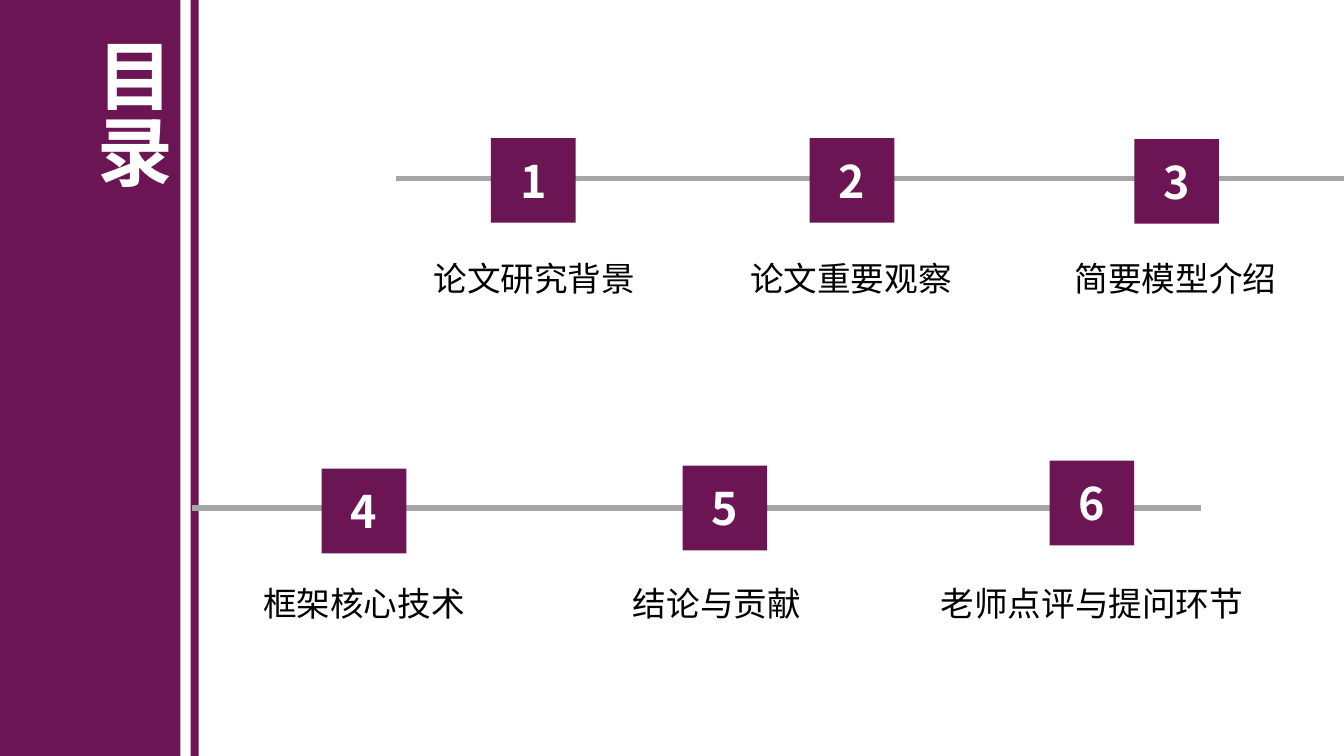
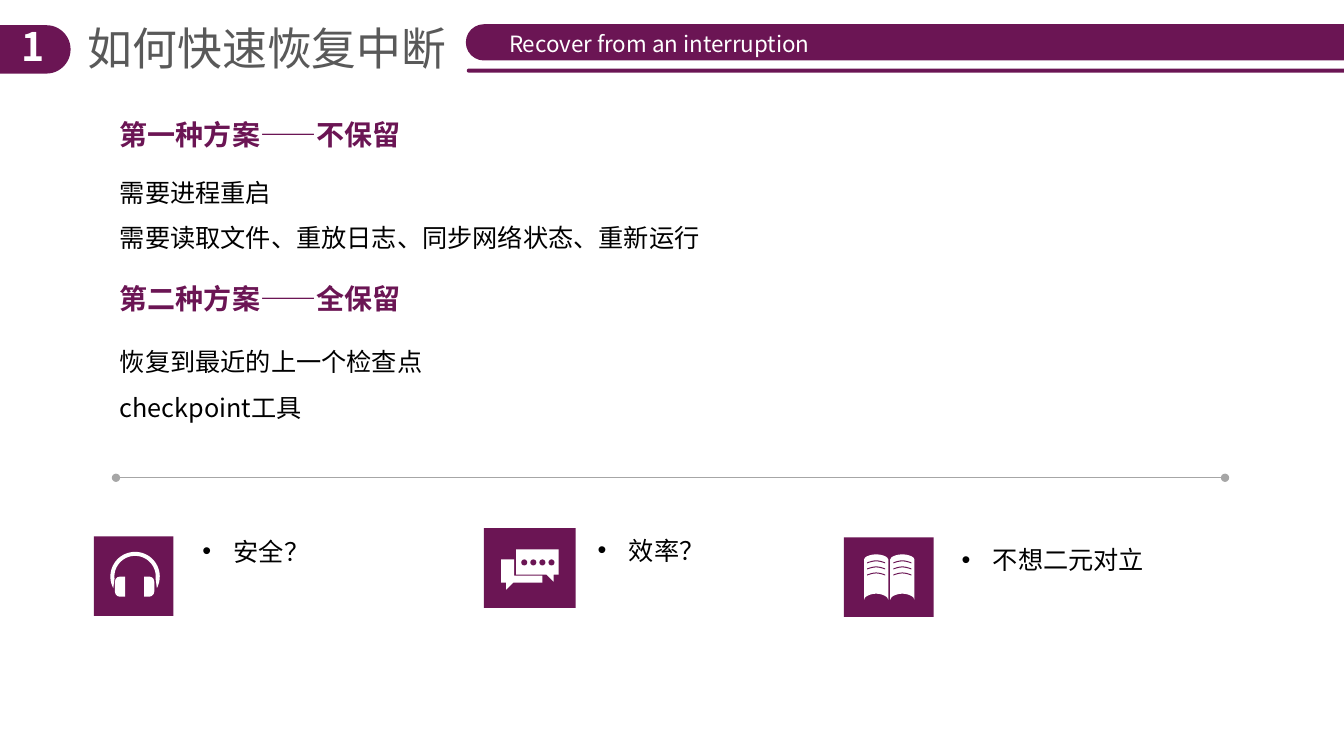
from math import cos, pi, radians, sin, sqrt

from lxml import etree
from pptx import Presentation
from pptx.dml.color import RGBColor
from pptx.enum.shapes import MSO_CONNECTOR, MSO_SHAPE as SHAPE
from pptx.enum.text import MSO_ANCHOR as ANCHOR, MSO_AUTO_SIZE, PP_ALIGN as ALIGN
from pptx.oxml.ns import qn
from pptx.util import Inches, Pt

FONT = "Noto Sans CJK SC"
COLORS = {"plum": "6B1554", "rule": "A6A6A6", "heading": "595959", "ink": "000000", "paper": "FFFFFF"}
SLIDE_WIDTH, SLIDE_HEIGHT = 13.33, 7.5

CONTENTS_TITLE = "目录"
MARKER_SIZE = 0.84
CHAPTER_ROWS = [
    {"rule": (3.93, SLIDE_WIDTH, 1.77), "caption_top": 2.51, "chapters": [
        ("1", "论文研究背景", 4.87, 1.37, 5.30),
        ("2", "论文重要观察", 8.03, 1.37, 8.44),
        ("3", "简要模型介绍", 11.25, 1.38, 11.66),
    ]},
    {"rule": (1.9, 11.91, 5.04), "caption_top": 5.73, "chapters": [
        ("4", "框架核心技术", 3.19, 4.65, 3.61),
        ("5", "结论与贡献", 6.77, 4.62, 7.11),
        ("6", "老师点评与提问环节", 10.41, 4.57, 10.83),
    ]},
]

SECTION = {"number": "1", "title": "如何快速恢复中断", "subtitle": "Recover from an interruption"}
PLANS = [
    ("第一种方案——不保留", 1.12, 1.56, ["需要进程重启", "需要读取文件、重放日志、同步网络状态、重新运行"]),
    ("第二种方案——全保留", 2.74, 3.24, ["恢复到最近的上一个检查点", "checkpoint工具"]),
]


def box(left, top, width, height):
    return [Inches(value) for value in (left, top, width, height)]


def paint(shape, color):
    shape.shadow.inherit = False
    shape.fill.solid()
    shape.fill.fore_color.rgb = RGBColor.from_string(COLORS[color])
    shape.line.fill.background()
    return shape


def block(slide, left, top, width, height, color="plum", kind=SHAPE.RECTANGLE):
    return paint(slide.shapes.add_shape(kind, *box(left, top, width, height)), color)


def tab(slide, left, top, width, height, rotation, color="plum"):
    shape = block(slide, left + (width - height) / 2, top + (height - width) / 2,
                  height, width, color, SHAPE.ROUND_2_SAME_RECTANGLE)
    shape.adjustments[0] = 0.5
    shape.rotation = rotation


def outline(slide, points, color="paper"):
    points = [(Inches(x), Inches(y)) for x, y in points]
    builder = slide.shapes.build_freeform(*points[0], scale=1.0)
    builder.add_line_segments(points[1:], close=True)
    return paint(builder.convert_to_shape(), color)


def rule(slide, start, end, y, width, dots=False):
    line = slide.shapes.add_connector(MSO_CONNECTOR.STRAIGHT, Inches(start), Inches(y), Inches(end), Inches(y))
    line.line.color.rgb = RGBColor.from_string(COLORS["rule"])
    line.line.width = Pt(width)
    if dots:
        for end_tag in ("a:headEnd", "a:tailEnd"):
            etree.SubElement(line.get_or_add_ln(), qn(end_tag), type="oval")
    etree.SubElement(line.element.spPr, qn("a:effectLst"))


def write(shape, text, size=18, color="ink", bold=False, align=ALIGN.LEFT, anchor=ANCHOR.TOP,
          spacing=1.0, margin=None, bullet=None):
    frame = shape.text_frame
    frame.word_wrap = True
    frame.auto_size = MSO_AUTO_SIZE.NONE
    frame.vertical_anchor = anchor
    if margin is not None:
        frame.margin_left = frame.margin_right = frame.margin_top = frame.margin_bottom = Inches(margin)
    lines = [text] if isinstance(text, str) else text
    for index, line in enumerate(lines):
        paragraph = frame.add_paragraph() if index else frame.paragraphs[0]
        paragraph.alignment = align
        paragraph.line_spacing = spacing
        run = paragraph.add_run()
        run.text = line
        font = run.font
        font.name, font.size, font.bold = FONT, Pt(size), bold
        font.color.rgb = RGBColor.from_string(COLORS[color])
        etree.SubElement(run.font._element, qn("a:ea"), typeface=FONT)
        if bullet:
            properties = paragraph._p.get_or_add_pPr()
            properties.set("marL", str(Inches(0.31)))
            properties.set("indent", str(-Inches(0.31)))
            etree.SubElement(properties, qn("a:buFont"), typeface="Arial")
            etree.SubElement(properties, qn("a:buChar"), char=bullet)


def label(slide, text, left, top, width, height, **style):
    write(slide.shapes.add_textbox(*box(left, top, width, height)), text, **style)


def place_title(slide, text, left, top, width, height, **style):
    title = slide.shapes.title
    title.left, title.top, title.width, title.height = box(left, top, width, height)
    write(title, text, **style)
    title.element.getparent().append(title.element)
    return title


def headphones(slide):
    def arc(radius, start, end):
        steps = 40
        angles = [radians(start + (end - start) * i / steps) for i in range(steps + 1)]
        return [(1.34 + radius * cos(a), 5.72 - radius * sin(a)) for a in angles]

    outline(slide, arc(0.245, -28, 208) + arc(0.205, 186, -6))
    for left, rotation in ((1.14, 270), (1.43, 90)):
        tab(slide, left, 5.72, 0.1, 0.2, rotation, "paper")


def speech_bubbles(slide):
    outline(slide, [(4.97, 5.55), (5.1, 5.55), (5.1, 5.71), (5.38, 5.71), (5.38, 5.78),
                    (5.09, 5.78), (5.02, 5.85), (5.02, 5.78), (4.97, 5.78)])
    outline(slide, [(5.12, 5.45), (5.54, 5.45), (5.54, 5.7), (5.49, 5.7), (5.49, 5.77),
                    (5.42, 5.7), (5.12, 5.7)])
    for index in range(4):
        block(slide, 5.17 + 0.09 * index, 5.55, 0.06, 0.06, kind=SHAPE.OVAL)


def open_book(slide):
    def curve(left, width, base, rise, bend):
        steps = 24
        return [(left + width * i / steps, base - rise * bend(abs(sin(pi * i / steps))))
                for i in range(steps + 1)]

    for left in (8.57, 8.83):
        top = curve(left, 0.24, 5.55, 0.05, sqrt)
        bottom = curve(left, 0.24, 5.95, 0.06, sqrt)
        outline(slide, top + bottom[::-1])
        for line in range(3):
            base = 5.58 + 0.06 * line
            upper = curve(left + 0.03, 0.18, base, 0.02, float)
            lower = curve(left + 0.03, 0.18, base + 0.01, 0.02, float)
            outline(slide, upper + lower[::-1], "plum")


QUESTIONS = [
    ("安全？", (1.91, 5.21, 2.71, 0.43), 1.2, (0.93, 5.32, 0.79, 0.79), headphones),
    ("效率？", (5.83, 5.11, 3.5, 0.5), 1.5, (4.8, 5.24, 0.91, 0.79), speech_bubbles),
    ("不想二元对立", (9.44, 5.2, 2.94, 0.5), 1.5, (8.37, 5.33, 0.89, 0.79), open_book),
]


def contents_slide(slide):
    block(slide, 0, 0, 1.79, SLIDE_HEIGHT)
    block(slide, 1.89, 0, 0.08, SLIDE_HEIGHT)
    title = place_title(slide, CONTENTS_TITLE, 0.67, 0.38, 1.1, 1.7, size=54, color="paper", bold=True, margin=0)
    title.text_frame._txBody.bodyPr.set("vert", "eaVert")
    for row in CHAPTER_ROWS:
        rule(slide, *row["rule"], 4)
        for number, caption, left, top, center in row["chapters"]:
            write(block(slide, left, top, MARKER_SIZE, MARKER_SIZE), number, size=32, color="paper",
                  bold=True, align=ALIGN.CENTER, anchor=ANCHOR.MIDDLE, margin=0)
            label(slide, caption, center - 1.65, row["caption_top"], 3.3, 0.5, size=24, align=ALIGN.CENTER)


def recovery_slide(slide):
    tab(slide, 0, 0.25, 0.7, 0.48, 90)
    label(slide, SECTION["number"], 0.07, 0.22, 0.51, 0.57, size=28, color="paper", bold=True,
          align=ALIGN.CENTER, margin=0)
    place_title(slide, SECTION["title"], 0.77, 0.16, 3.79, 0.64, size=32, color="heading")
    for left, top, height in ((4.62, 0.24, 0.36), (4.63, 0.68, 0.04)):
        tab(slide, left, top, SLIDE_WIDTH - left, height, 270)
    label(slide, SECTION["subtitle"], 4.65, 0.28, 3.78, 0.3, size=16, color="paper",
          align=ALIGN.CENTER, anchor=ANCHOR.MIDDLE)
    for heading, heading_top, steps_top, steps in PLANS:
        label(slide, heading, 1.09, heading_top, 3.05, 0.44, size=20, color="plum", bold=True)
        label(slide, steps, 1.09, steps_top, 8.95, 1.1, spacing=1.5)
    rule(slide, 1.15, 12.15, 4.74, 0.5, dots=True)
    for question, place, spacing, tile, draw_icon in QUESTIONS:
        label(slide, question, *place, spacing=spacing, bullet="•")
        block(slide, *tile)
        draw_icon(slide)


def main():
    deck = Presentation()
    deck.slide_width, deck.slide_height = Inches(SLIDE_WIDTH), Inches(SLIDE_HEIGHT)
    for build in (contents_slide, recovery_slide):
        build(deck.slides.add_slide(deck.slide_layouts[5]))
    deck.save("out.pptx")


if __name__ == "__main__":
    main()
